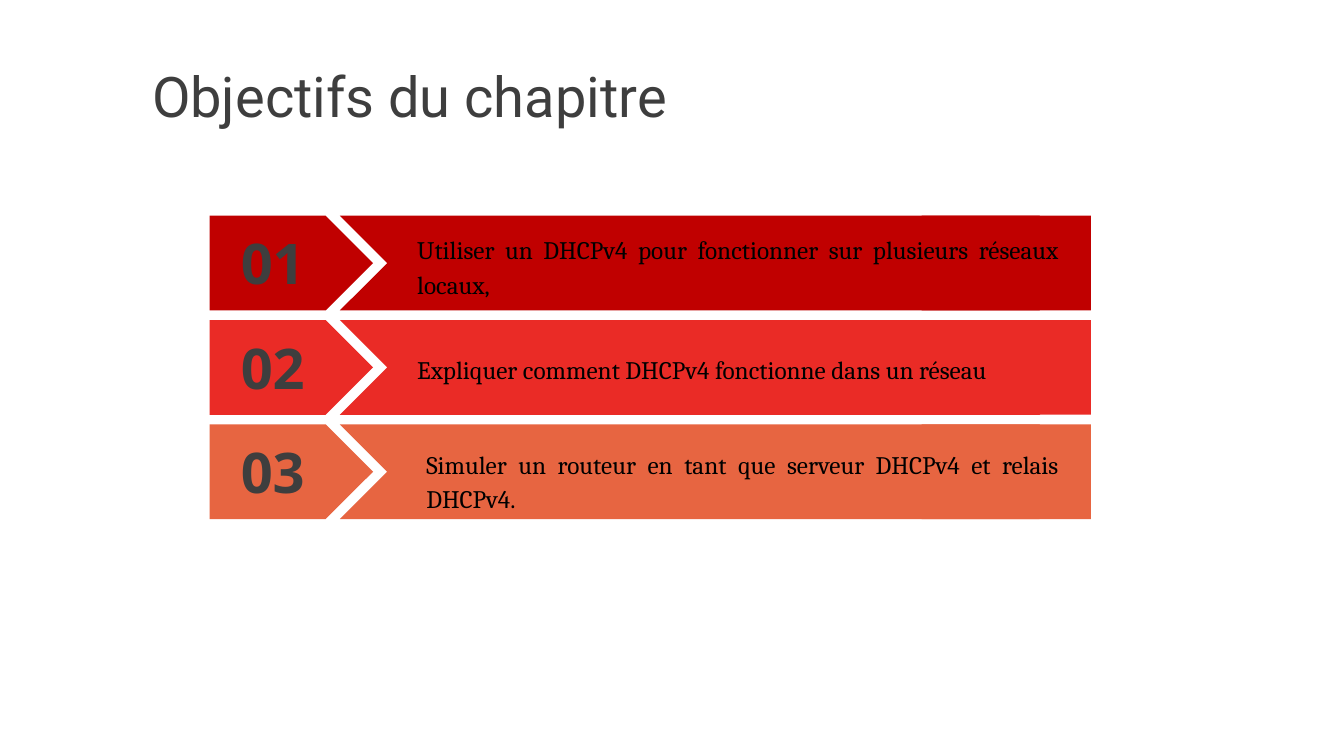
from pptx import Presentation
from pptx import util as u
from pptx.dml.color import RGBColor
from pptx.enum import shapes, text

COLORS = {"dark": "3E3E3E", "black": "000000",
          "row1": "C00000", "row2": "EA2B26", "row3": "E76541"}

# Number, colour, wording, then text indent, top and height within the row
OBJECTIVES = [
    ("01", "row1", "Utiliser un DHCPv4 pour fonctionner sur plusieurs réseaux locaux,",
     1.96, 0.09, 0.77),
    ("02", "row2", "Expliquer comment DHCPv4 fonctionne dans un réseau",
     1.96, 0.25, 0.42),
    ("03", "row3", "Simuler un routeur en tant que serveur DHCPv4 et relais DHCPv4.",
     2.05, 0.15, 0.77),
]
ROW_LEFT, ROW_TOP, ROW_WIDTH, ROW_HEIGHT, ROW_PITCH = 2.08, 2.14, 8.74, 0.94, 1.035


def add_block(s, kind, box, color):
    sp = s.shapes.add_shape(kind, *map(u.Inches, box))
    sp.shadow.inherit = False
    sp.fill.solid()
    sp.fill.fore_color.rgb = RGBColor.from_string(COLORS[color])
    sp.line.fill.background()


def add_text(s, box, wording, font, size, color, align, bold=False,
             anchor=text.MSO_ANCHOR.TOP, spacing=1.0, after=0):
    tf = s.shapes.add_textbox(*map(u.Inches, box)).text_frame
    tf.word_wrap = True
    tf.vertical_anchor = anchor
    p = tf.paragraphs[0]
    p.alignment = align
    p.line_spacing = spacing
    p.space_after = u.Pt(after)
    r = p.add_run()
    r.text = wording
    r.font.name = font
    r.font.size = u.Pt(size)
    r.font.bold = bold
    r.font.color.rgb = RGBColor.from_string(COLORS[color])


def add_title(s, box):
    add_text(s, box, "Objectifs du chapitre", "Roboto", 40, "dark",
             text.PP_ALIGN.LEFT, anchor=text.MSO_ANCHOR.MIDDLE, spacing=0.9)


def add_objective(s, box, objective):
    left, top, width, height = box
    number, color, wording, indent, drop, text_height = objective
    right = left + width
    kinds = shapes.MSO_SHAPE

    # Number arrow, then the banner with its squared-off end
    add_block(s, kinds.PENTAGON, (left, top, 1.62, height), color)
    add_block(s, kinds.CHEVRON, (left + 1.29, top, 7.41, height), color)
    add_block(s, kinds.RECTANGLE, (right - 1.68, top, 1.68, height), color)

    # Number and wording
    add_text(s, (left + 0.07, top + 0.08, 1.11, 0.77), number, "Open Sans", 40,
             "dark", text.PP_ALIGN.CENTER, bold=True)
    add_text(s, (left + indent, top + drop, width - indent - 0.22, text_height),
             wording, "Cambria", 18, "black", text.PP_ALIGN.JUSTIFY,
             spacing=1.15, after=10)


def main():
    prs = Presentation()
    prs.slide_width, prs.slide_height = u.Inches(13.33), u.Inches(7.5)
    s = prs.slides.add_slide(prs.slide_layouts[6])

    add_title(s, (1.41, 0.36, 9, 1.25))
    for i, objective in enumerate(OBJECTIVES):
        add_objective(s, (ROW_LEFT, ROW_TOP + i * ROW_PITCH, ROW_WIDTH, ROW_HEIGHT),
                      objective)

    prs.save("out.pptx")


if __name__ == "__main__":
    main()
